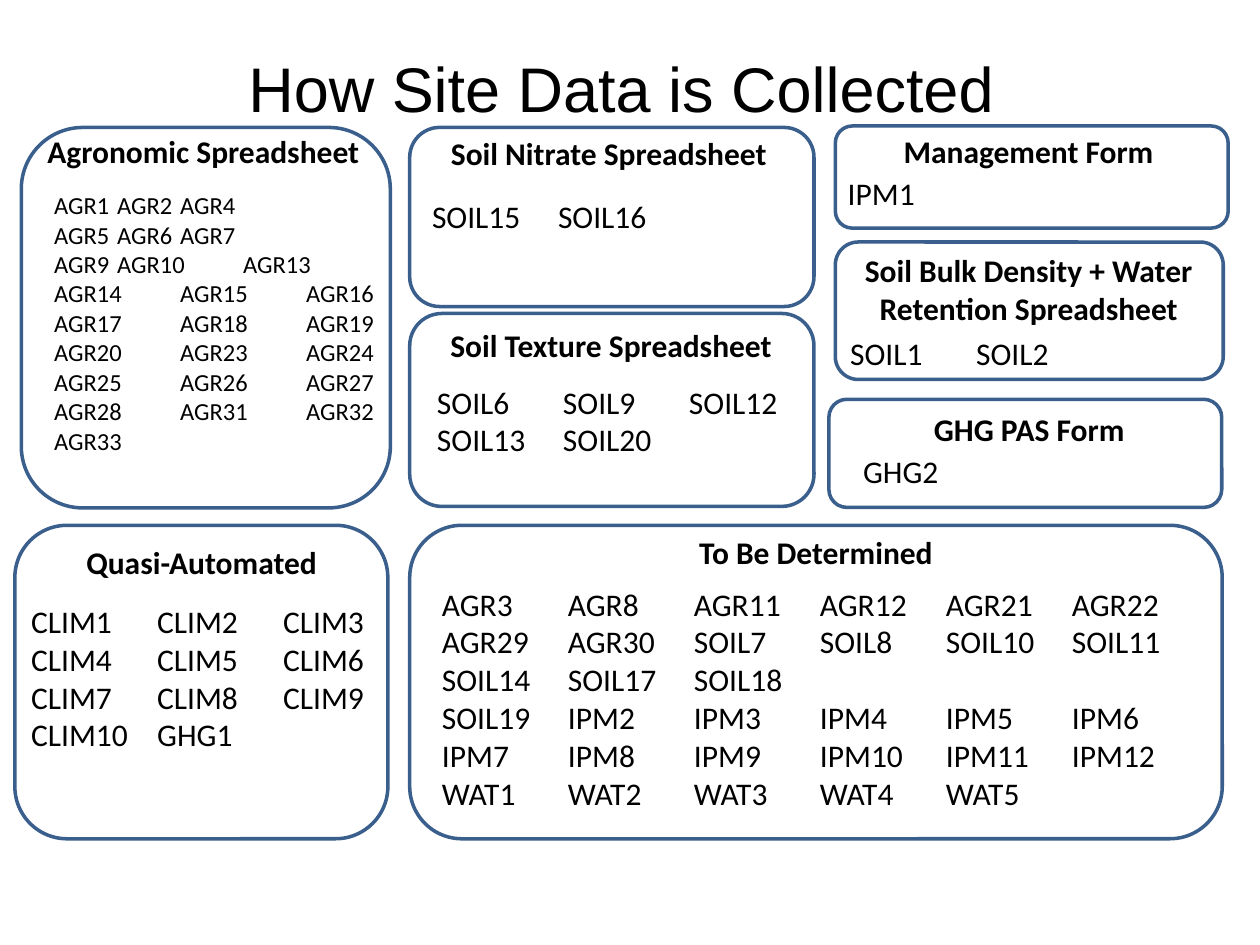
from dataclasses import dataclass
from typing import NamedTuple

from pptx import Presentation
from pptx.dml.color import RGBColor
from pptx.enum.shapes import MSO_SHAPE
from pptx.enum.text import MSO_ANCHOR, MSO_AUTO_SIZE, PP_ALIGN
from pptx.util import Cm, Pt


@dataclass(frozen=True)
class Theme:
    ink: RGBColor = RGBColor(0x00, 0x00, 0x00)
    outline: RGBColor = RGBColor(0x3A, 0x5F, 0x8C)
    outline_width: int = Pt(2)
    title_font: str = "Arial"
    body_font: str = "Calibri"
    title_size: int = Pt(36)
    body_size: int = Pt(18)
    small_size: int = Pt(14)


THEME = Theme()


class Box(NamedTuple):
    left: float
    top: float
    width: float
    height: float

    def lengths(self) -> list:
        return [Cm(v) for v in self]


@dataclass(frozen=True)
class Panel:
    heading: str
    frame: Box
    heading_box: Box
    codes_box: Box
    rows: tuple
    codes_size: int = THEME.body_size


PANELS = [
    Panel("Agronomic Spreadsheet", Box(0.43, 2.57, 7.44, 7.67),
          Box(0.38, 2.54, 7.44, 1.02), Box(0.84, 3.71, 7.04, 6.25),
          ("AGR1 AGR2 AGR4", "AGR5 AGR6 AGR7", "AGR9 AGR10 AGR13",
           "AGR14 AGR15 AGR16", "AGR17 AGR18 AGR19", "AGR20 AGR23 AGR24",
           "AGR25 AGR26 AGR27", "AGR28 AGR31 AGR32", "AGR33"),
          THEME.small_size),
    Panel("Soil Nitrate Spreadsheet", Box(8.26, 2.57, 8.15, 3.61),
          Box(8.26, 2.57, 8.03, 1.02), Box(8.46, 3.84, 7.57, 1.02),
          ("SOIL15 SOIL16",)),
    Panel("Management Form", Box(16.84, 2.54, 7.92, 2.06),
          Box(16.71, 2.54, 8.05, 1.02), Box(16.84, 3.38, 5.69, 1.02),
          ("IPM1",)),
    Panel("Soil Bulk Density + Water Retention Spreadsheet",
          Box(16.84, 4.88, 7.82, 2.77),
          Box(16.84, 4.93, 7.8, 1.8), Box(16.89, 6.6, 7.01, 1.02),
          ("SOIL1 SOIL2",)),
    Panel("Soil Texture Spreadsheet", Box(8.26, 6.32, 8.15, 3.89),
          Box(8.41, 6.45, 7.82, 1.02), Box(8.56, 7.59, 7.85, 1.8),
          ("SOIL6 SOIL9 SOIL12", "SOIL13 SOIL20")),
    Panel("GHG PAS Form", Box(16.71, 8.05, 7.92, 2.18),
          Box(16.84, 8.15, 7.82, 1.02), Box(17.15, 8.99, 7.11, 1.02),
          ("GHG2",)),
    Panel("Quasi-Automated", Box(0.3, 10.59, 7.52, 6.32),
          Box(0.46, 10.82, 7.21, 1.02), Box(0.38, 12.01, 7.24, 3.33),
          ("CLIM1 CLIM2 CLIM3", "CLIM4 CLIM5 CLIM6", "CLIM7 CLIM8 CLIM9",
           "CLIM10 GHG1")),
    Panel("To Be Determined", Box(8.26, 10.59, 16.38, 6.32),
          Box(8.26, 10.62, 16.38, 1.02), Box(8.66, 11.66, 15.98, 4.88),
          ("AGR3 AGR8 AGR11 AGR12 AGR21 AGR22",
           "AGR29 AGR30 SOIL7 SOIL8 SOIL10 SOIL11",
           "SOIL14 SOIL17 SOIL18",
           "SOIL19 IPM2 IPM3 IPM4 IPM5 IPM6",
           "IPM7 IPM8 IPM9 IPM10 IPM11 IPM12",
           "WAT1 WAT2 WAT3 WAT4 WAT5")),
]


def style(p, font: str, size: int, align: PP_ALIGN, bold: bool = False) -> None:
    p.alignment = align
    p.font.name = font
    p.font.size = size
    p.font.bold = bold
    p.font.color.rgb = THEME.ink


def add_text(s, box: Box, lines: list, size: int, align: PP_ALIGN,
             bold: bool = False) -> None:
    tf = s.shapes.add_textbox(*box.lengths()).text_frame
    tf.word_wrap = True
    tf.auto_size = MSO_AUTO_SIZE.SHAPE_TO_FIT_TEXT
    tf.text = "\n".join(lines)
    for p in tf.paragraphs:
        style(p, THEME.body_font, size, align, bold)


def add_panel(s, panel: Panel) -> None:
    sp = s.shapes.add_shape(MSO_SHAPE.ROUNDED_RECTANGLE, *panel.frame.lengths())
    sp.shadow.inherit = False
    sp.fill.background()
    sp.line.color.rgb = THEME.outline
    sp.line.width = THEME.outline_width
    add_text(s, panel.heading_box, [panel.heading], THEME.body_size,
             PP_ALIGN.CENTER, bold=True)
    add_text(s, panel.codes_box, ["\t".join(row.split()) for row in panel.rows],
             panel.codes_size, PP_ALIGN.LEFT)


def set_title(s, text: str, box: Box) -> None:
    sp = s.shapes.title
    sp.left, sp.top, sp.width, sp.height = box.lengths()
    tf = sp.text_frame
    tf.text = text
    tf.auto_size = MSO_AUTO_SIZE.NONE
    tf.vertical_anchor = MSO_ANCHOR.MIDDLE
    style(tf.paragraphs[0], THEME.title_font, THEME.title_size, PP_ALIGN.CENTER)


def main() -> None:
    prs = Presentation()
    prs.slide_width, prs.slide_height = Cm(25.4), Cm(19.05)
    s = prs.slides.add_slide(prs.slide_layouts[5])
    set_title(s, "How Site Data is Collected ", Box(1.27, 0.76, 22.86, 1.98))
    for panel in PANELS:
        add_panel(s, panel)
    prs.save("out.pptx")


if __name__ == "__main__":
    main()
